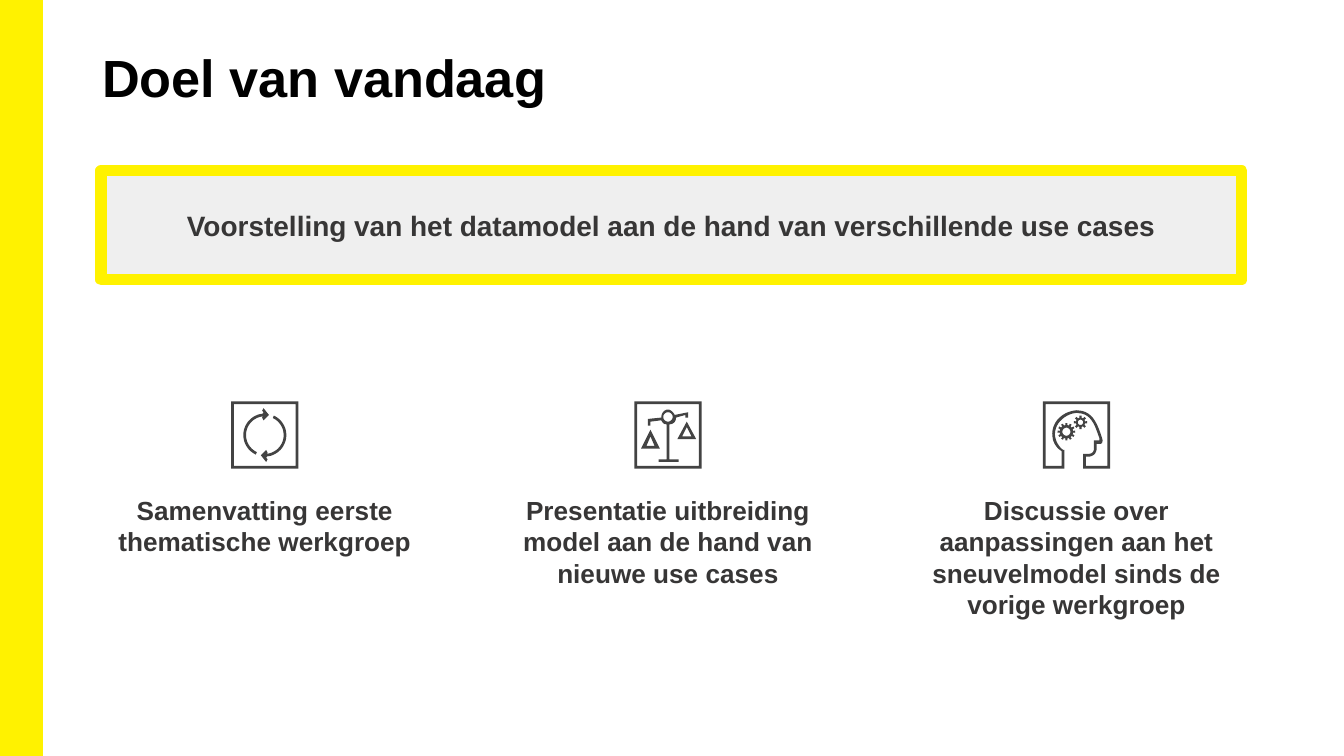
from math import cos, pi, radians, sin

from pptx import Presentation
from pptx import util as u
from pptx.dml.color import RGBColor
from pptx.enum import shapes, text

Cm = u.Cm
YELLOW = RGBColor(0xFF, 0xF2, 0x00)
GREY = RGBColor(0xEF, 0xEF, 0xEF)
BLACK = RGBColor(0x00, 0x00, 0x00)
INK = RGBColor(0x37, 0x36, 0x36)
ICON = RGBColor(0x43, 0x43, 0x43)
FONT = "Arial"
ICON_SIZE = 1.27
FRAME = [[(0, 0), (0, 100), (100, 100), (100, 0)],
         [(4, 4), (96, 4), (96, 96), (4, 96)]]


def put_text(tf, words, size=14, color=INK, align=text.PP_ALIGN.CENTER,
             anchor=text.MSO_ANCHOR.TOP):
    tf.word_wrap = True
    tf.auto_size = text.MSO_AUTO_SIZE.NONE
    tf.vertical_anchor = anchor
    p = tf.paragraphs[0]
    p.alignment = align
    r = p.add_run()
    r.text = words
    r.font.name = FONT
    r.font.size = u.Pt(size)
    r.font.bold = True
    r.font.color.rgb = color


def rect(s, box, fill, line, width):
    sp = s.shapes.add_shape(shapes.MSO_SHAPE.RECTANGLE, *map(Cm, box))
    sp.shadow.inherit = False
    sp.fill.solid()
    sp.fill.fore_color.rgb = fill
    sp.line.color.rgb = line
    sp.line.width = u.Pt(width)
    return sp


def arc(cx, cy, r, start=0, end=360, steps=32):
    angles = [radians(start + (end - start) * i / steps) for i in range(steps + 1)]
    return [(cx + r * cos(a), cy + r * sin(a)) for a in angles]


def curve(*pts, steps=10):
    def at(t):
        k = ((1 - t) ** 3, 3 * t * (1 - t) ** 2, 3 * t * t * (1 - t), t ** 3)
        return tuple(sum(w * pt[i] for w, pt in zip(k, pts)) for i in (0, 1))
    return [at(i / steps) for i in range(steps + 1)]


def gear(cx, cy, outer, root, hole, teeth):
    pitch = 2 * pi / teeth
    rim = []
    for i in range(teeth):
        for r, shift in ((root, -0.27), (outer, -0.22), (outer, 0.22), (root, 0.27)):
            a = (i + shift) * pitch
            rim.append((cx + r * cos(a), cy + r * sin(a)))
    return [rim, arc(cx, cy, hole)]


def cycle_parts():
    arrow = (arc(50, 50, 32, 264, 115) + arc(50, 50, 28, 115, 264)
             + [(46, 24), (48, 28), (56, 20), (48, 10), (46, 14), (48, 16)])
    return [FRAME, [arrow], [[(100 - x, 100 - y) for x, y in arrow]]]


def scales_parts():
    stand = ([(24, 30)] + curve((40, 28), (42, 32), (44, 34), (48, 34))
             + [(48, 86), (36, 86), (36, 90), (66, 90), (66, 86), (52, 86)]
             + curve((52, 34), (58, 34), (62, 30), (62, 24))
             + [(76, 20), (76, 24), (80, 24), (80, 16)]
             + curve((60, 20), (58, 16), (54, 12), (50, 12))
             + curve((50, 12), (44, 12), (40, 18), (40, 24))
             + [(20, 26), (20, 36), (24, 36)])
    pans = [[(24, 42), (10, 70), (38, 70)], [(24, 52), (30, 66), (18, 66)],
            [(78, 30), (64, 56), (92, 56)], [(78, 38), (85, 52), (71, 52)]]
    return [FRAME + pans + [stand, arc(50, 23, 7)]]


def head_parts():
    outer = ([(0, 0), (0, 100), (32, 100), (32, 72)]
             + curve((30, 72), (22, 66), (18, 56), (18, 48))
             + curve((18, 48), (18, 34), (30, 22), (44, 18))
             + [(50, 17)] + curve((58, 18), (74, 22), (78, 38), (84, 54))
             + [(84, 58), (76, 58)]
             + curve((76, 70), (76, 76), (72, 78), (68, 78))
             + [(60, 78), (60, 100), (100, 100), (100, 0)])
    inner = ([(96, 96), (64, 96), (64, 82)]
             + curve((68, 82), (74, 82), (80, 78), (80, 70))
             + [(80, 63), (86, 63), (88, 62), (89, 58)]
             + curve((88, 54), (82, 36), (76, 18), (58, 14))
             + [(50, 13)] + curve((44, 14), (26, 18), (14, 32), (14, 48))
             + curve((14, 48), (14, 58), (18, 68), (28, 74))
             + [(28, 96), (4, 96), (4, 4), (96, 4)])
    return [[outer, inner], gear(35, 45, 13, 10, 6, 12), gear(56, 31, 10, 7, 4, 8)]


def icon(s, left, top, parts):
    parent = s.shapes.add_group_shape().shapes if len(parts) > 1 else s.shapes
    for contours in parts:
        fb = None
        for contour in contours:
            pts = [(x * 10, y * 10) for x, y in contour]
            if fb is None:
                fb = parent.build_freeform(*pts[0], scale=Cm(ICON_SIZE) / 1000)
            else:
                fb.move_to(*pts[0])
            fb.add_line_segments(pts[1:], close=True)
        sp = fb.convert_to_shape(Cm(left), Cm(top))
        sp.shadow.inherit = False
        sp.fill.solid()
        sp.fill.fore_color.rgb = ICON
        sp.line.fill.background()


def title(s, box, words):
    sp = s.shapes.title
    sp.left, sp.top, sp.width, sp.height = map(Cm, box)
    tf = sp.text_frame
    tf.margin_left = tf.margin_right = Cm(0.18)
    tf.margin_top = tf.margin_bottom = Cm(0.1)
    put_text(tf, words, size=28, color=BLACK, align=text.PP_ALIGN.LEFT)


def banner(s, box, words):
    sp = rect(s, box, GREY, YELLOW, 6)
    put_text(sp.text_frame, words, size=15, anchor=text.MSO_ANCHOR.MIDDLE)


def topic(s, box, words, parts):
    left, top, width, height = box
    icon(s, left + (width - ICON_SIZE) / 2, top, parts)
    gap = 1.63
    sp = s.shapes.add_textbox(*map(Cm, (left, top + gap, width, height - gap)))
    put_text(sp.text_frame, words)


def main():
    prs = Presentation()
    prs.slide_width, prs.slide_height = Cm(25.4), Cm(14.29)
    s = prs.slides.add_slide(prs.slide_layouts[5])
    rect(s, (0, 0, 0.79, 14.29), YELLOW, YELLOW, 1)
    title(s, (1.75, 0.76, 21.9, 2.06), "Doel van vandaag")
    banner(s, (1.91, 3.23, 21.56, 2.06),
           "Voorstelling van het datamodel aan de hand van verschillende use cases")
    topics = [
        (1.55, 6.91, "Samenvatting eerste thematische werkgroep", cycle_parts()),
        (9.07, 7.11, "Presentatie uitbreiding model aan de hand van nieuwe use cases",
         scales_parts()),
        (16.79, 7.11, "Discussie over aanpassingen aan het sneuvelmodel sinds de "
         "vorige werkgroep", head_parts()),
    ]
    for left, width, words, parts in topics:
        topic(s, (left, 7.59, width, 4.88), words, parts)
    prs.save("out.pptx")


if __name__ == "__main__":
    main()
